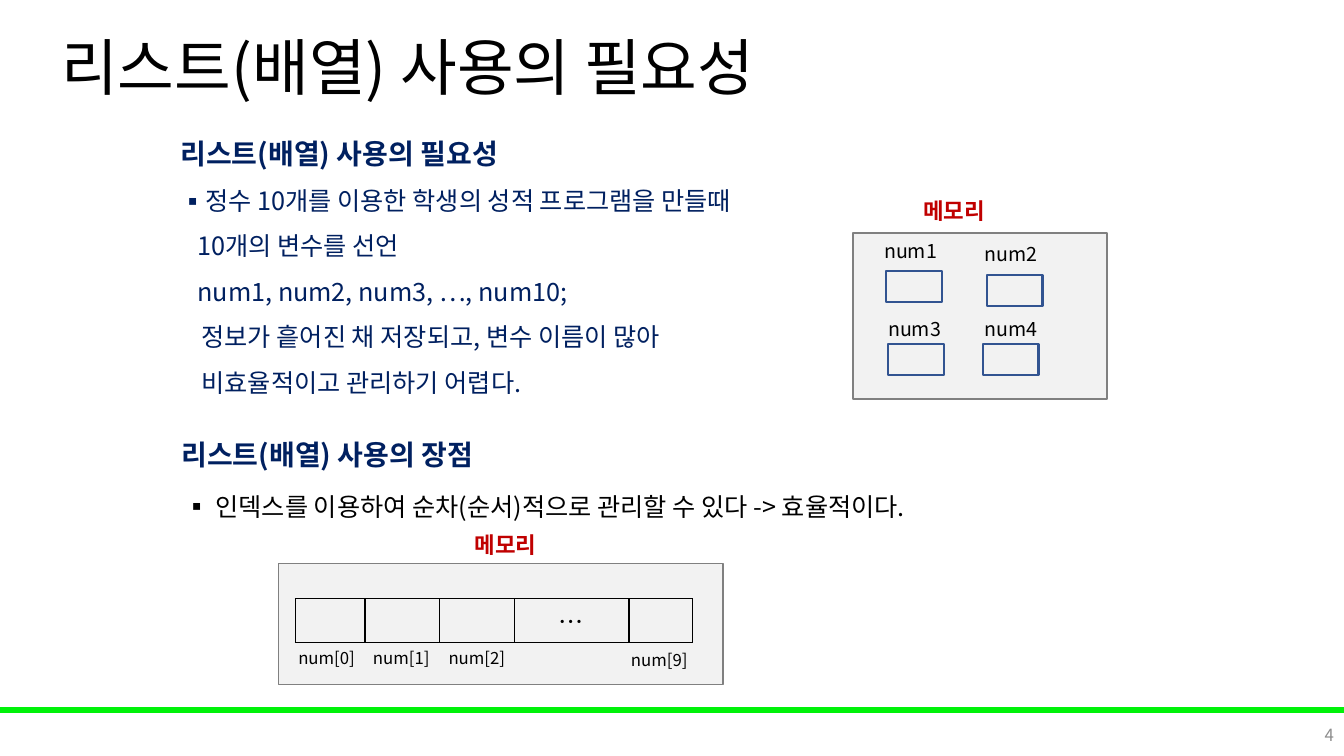
"""Build the slide on why lists (arrays) are needed."""
import pptx
import pptx.util
import pptx.dml.color
import pptx.enum.shapes
import pptx.enum.text
from dataclasses import dataclass
from lxml import etree

PX = 9144
DRAWING = "http://schemas.openxmlformats.org/drawingml/2006/main"
ALIGN = pptx.enum.text.PP_ALIGN
ANCHOR = pptx.enum.text.MSO_ANCHOR


@dataclass(frozen=True)
class Theme:
    font: str = "Noto Sans CJK KR"
    black: str = "000000"
    navy: str = "002060"
    red: str = "C00000"
    page_gray: str = "8C8C8C"
    bar: str = "00F209"
    memory_fill: str = "F2F2F2"
    memory_line: str = "808080"
    variable_line: str = "325491"
    title: int = 44
    heading: int = 20
    body: int = 18
    memory: int = 16
    variable: int = 14
    small: int = 12


theme = Theme()
color = pptx.dml.color.RGBColor.from_string
presentation = pptx.Presentation()
presentation.slide_width = 1333 * PX
presentation.slide_height = 750 * PX
slide = presentation.slides.add_slide(presentation.slide_layouts[6])


def add_rectangle(left, top, width, height, fill, line, line_width):
    shape = slide.shapes.add_shape(
        pptx.enum.shapes.MSO_SHAPE.RECTANGLE, left * PX, top * PX, width * PX, height * PX)
    shape.shadow.inherit = False
    if fill:
        shape.fill.solid()
        shape.fill.fore_color.rgb = color(fill)
    else:
        shape.fill.background()
    shape.line.color.rgb = color(line)
    shape.line.width = pptx.util.Pt(line_width)


def add_text(left, top, width, height, lines, ink, anchor=ANCHOR.TOP, align=ALIGN.LEFT, spacing=1.0):
    """Each line is (text, size, bold, indent in px, bulleted)."""
    frame = slide.shapes.add_textbox(left * PX, top * PX, width * PX, height * PX).text_frame
    frame.word_wrap = True
    frame.vertical_anchor = anchor
    for index, (text, size, bold, indent, bulleted) in enumerate(lines):
        paragraph = frame.add_paragraph() if index else frame.paragraphs[0]
        properties = paragraph._p.get_or_add_pPr()
        if indent:
            properties.set("marL", str(indent * PX))
        if bulleted:
            properties.set("indent", str(-indent * PX))
            etree.SubElement(properties, f"{{{DRAWING}}}buFont", typeface=theme.font)
            etree.SubElement(properties, f"{{{DRAWING}}}buChar", char="▪")
        paragraph.alignment = align
        paragraph.line_spacing = spacing
        run = paragraph.add_run()
        run.text = text
        run.font.size = pptx.util.Pt(size)
        run.font.bold = bold
        run.font.name = theme.font
        run.font.color.rgb = color(ink)
        etree.SubElement(run.font._element, f"{{{DRAWING}}}ea", typeface=theme.font)


add_rectangle(0, 702, 1333, 5, theme.bar, theme.bar, 1)
add_text(0, 23, 867, 94, [("리스트(배열) 사용의 필요성", theme.title, False, 51, False)],
         theme.black, ANCHOR.MIDDLE, spacing=0.9)
add_text(1033, 709, 300, 40, [("4", theme.small, False, 0, False)],
         theme.page_gray, ANCHOR.MIDDLE, ALIGN.RIGHT)

add_text(169, 114, 643, 288, [
    ("리스트(배열) 사용의 필요성", theme.heading, True, 0, False),
    ("정수 10개를 이용한 학생의 성적 프로그램을 만들때", theme.body, False, 15, True),
    ("10개의 변수를 선언", theme.body, False, 17, False),
    ("num1, num2, num3, …, num10;", theme.body, False, 17, False),
    ("정보가 흩어진 채 저장되고, 변수 이름이 많아", theme.body, False, 21, False),
    ("비효율적이고 관리하기 어렵다.", theme.body, False, 21, False),
], theme.navy, spacing=1.5)
add_text(170, 412, 344, 56, [("리스트(배열) 사용의 장점", theme.heading, True, 0, False)],
         theme.navy, spacing=1.5)
add_text(173, 467, 838, 51,
         [("인덱스를 이용하여 순차(순서)적으로 관리할 수 있다 -> 효율적이다.", theme.body, False, 31, True)],
         theme.black, spacing=1.5)

for memory_box, label_left, label_top in [((846, 231, 252, 165), 906, 191),
                                          ((276, 559, 441, 120), 461, 522)]:
    add_rectangle(*memory_box, theme.memory_fill, theme.memory_line, 1)
    add_text(label_left, label_top, 105, 37, [("메모리", theme.memory, True, 0, False)], theme.red)

variables = [("num1", 879, 269, 867, 232), ("num2", 979, 273, 967, 235),
             ("num3", 881, 341, 871, 309), ("num4", 975, 341, 967, 309)]
for name, box_left, box_top, label_left, label_top in variables:
    add_rectangle(box_left, box_top, 55, 31, None, theme.variable_line, 1.5)
    add_text(label_left, label_top, 88, 34, [(name, theme.variable, False, 0, False)], theme.black)

column_widths = [69, 74, 74, 114, 63]
table = slide.shapes.add_table(
    1, len(column_widths), 293 * PX, 594 * PX, sum(column_widths) * PX, 43 * PX).table
table.first_row = False
table.horz_banding = False
for column, width in enumerate(column_widths):
    table.columns[column].width = width * PX
    cell = table.cell(0, column)
    cell.margin_top = cell.margin_bottom = 2 * PX
    cell.vertical_anchor = ANCHOR.MIDDLE
    cell_properties = cell._tc.get_or_add_tcPr()
    for side in ("lnL", "lnR", "lnT", "lnB"):
        border = etree.SubElement(cell_properties, f"{{{DRAWING}}}{side}", w="12700")
        border_fill = etree.SubElement(border, f"{{{DRAWING}}}solidFill")
        etree.SubElement(border_fill, f"{{{DRAWING}}}srgbClr", val=theme.black)
    cell.fill.background()
    cell.text_frame.paragraphs[0].font.size = pptx.util.Pt(theme.body)

paragraph = table.cell(0, 3).text_frame.paragraphs[0]
paragraph.alignment = ALIGN.CENTER
run = paragraph.add_run()
run.text = "…"
run.font.size = pptx.util.Pt(theme.body)
run.font.name = theme.font
run.font.color.rgb = color(theme.black)

for index, left, top in [(0, 286, 638), (1, 360, 638), (2, 435, 638), (9, 616, 640)]:
    add_text(left, top, 79, 30, [(f"num[{index}]", theme.small, False, 0, False)], theme.black)

presentation.save("out.pptx")
